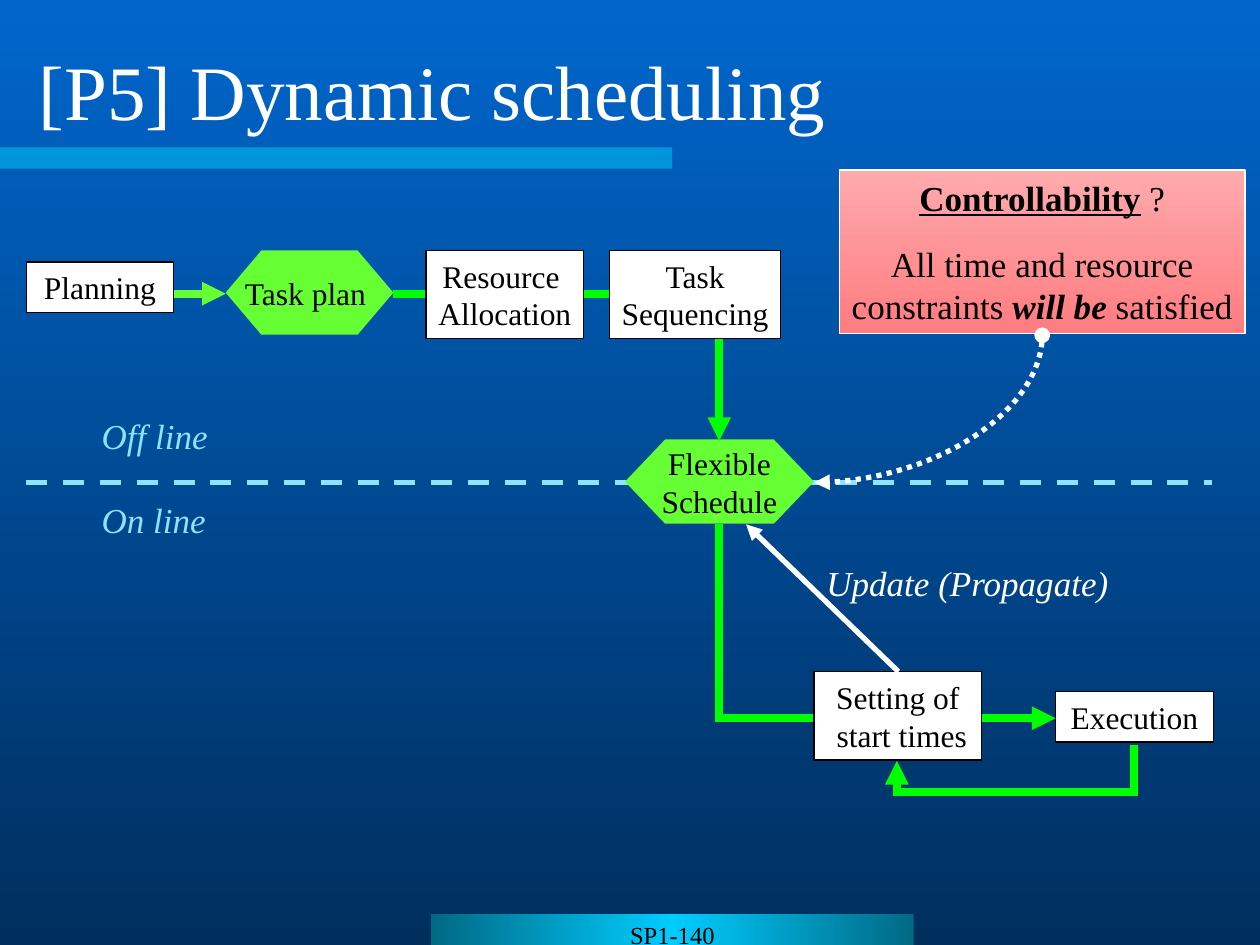
import copy

import pptx
import pptx.dml.color
import pptx.enum.dml
import pptx.enum.shapes
import pptx.enum.text
import pptx.oxml
import pptx.oxml.ns
import pptx.util
from pptx.util import Cm

RGB = pptx.dml.color.RGBColor
SHAPE = pptx.enum.shapes.MSO_SHAPE
LINK = pptx.enum.shapes.MSO_CONNECTOR
DASH = pptx.enum.dml.MSO_LINE
ALIGN = pptx.enum.text.PP_ALIGN
ANCHOR = pptx.enum.text.MSO_ANCHOR
qn = pptx.oxml.ns.qn

FONT = "Times New Roman"
WHITE = RGB(0xFF, 0xFF, 0xFF)
BLACK = RGB(0x00, 0x00, 0x00)
SKY_TOP = RGB(0x00, 0x66, 0xCC)
SKY_BOTTOM = RGB(0x00, 0x2F, 0x5E)
CYAN = RGB(0x00, 0xCC, 0xFF)
TEAL = RGB(0x00, 0x69, 0x84)
PALE_BLUE = RGB(0x8D, 0xE4, 0xFF)
GREEN = RGB(0x00, 0xFF, 0x00)
LIME = RGB(0x66, 0xFF, 0x33)
PINK_TOP = RGB(0xFE, 0xAA, 0xAD)
PINK_BOTTOM = RGB(0xFF, 0x7C, 0x80)


def set_gradient(fill, colours, angle):
    """Spread the colours evenly; the angle runs counter-clockwise."""
    fill.gradient()
    fill.gradient_angle = angle
    stop_list = fill.gradient_stops._gsLst
    while len(stop_list) < len(colours):
        stop_list.append(copy.deepcopy(stop_list[-1]))
    for index, (stop, colour) in enumerate(zip(fill.gradient_stops, colours)):
        stop.color.rgb = colour
        stop.position = index / (len(colours) - 1)


def write(shape, lines, size, colour=BLACK, align=ALIGN.CENTER,
          anchor=ANCHOR.TOP, wrap=False, italic=None):
    """Each line is a string or a list of (text, run styles)."""
    frame = shape.text_frame
    frame.word_wrap = wrap
    frame.vertical_anchor = anchor
    for index, line in enumerate(lines):
        para = frame.add_paragraph() if index else frame.paragraphs[0]
        para.alignment = align
        para.font.name = FONT
        para.font.size = pptx.util.Pt(size)
        para.font.color.rgb = colour
        para.font.italic = italic
        for text, styles in [(line, {})] if isinstance(line, str) else line:
            span = para.add_run()
            span.text = text
            for style, value in styles.items():
                setattr(span.font, style, value)


def add_block(page, place, kind=SHAPE.RECTANGLE, fill=None, outline=None):
    block = page.shapes.add_shape(kind, *map(Cm, place))
    block.shadow.inherit = False
    if fill is not None:
        block.fill.solid()
        block.fill.fore_color.rgb = fill
    if outline is None:
        block.line.fill.background()
    else:
        block.line.color.rgb = outline
        block.line.width = pptx.util.Pt(0.75)
    return block


def add_step(page, place, *lines, wrap=False):
    write(add_block(page, place, fill=WHITE, outline=BLACK), lines, 18, wrap=wrap)


def add_result(page, place, slant, *lines):
    hexagon = add_block(page, place, SHAPE.HEXAGON, LIME)
    hexagon.adjustments[0] = slant
    write(hexagon, lines, 18, anchor=ANCHOR.MIDDLE)


def add_label(page, place, text, size, colour, **options):
    box = page.shapes.add_textbox(*map(Cm, place))
    write(box, [text], size, colour, ALIGN.LEFT, **options)


def add_link(page, start, end, colour, width, preset="line", turn=0, flip=False,
             dash=None, head=None, tail="triangle", bend=None):
    """Join two points; a quarter turn swaps the sides of the connector's frame."""
    if turn:
        middle_x, middle_y = ((a + b) / 2 for a, b in zip(start, end))
        half_h, half_w = (abs(a - b) / 2 for a, b in zip(start, end))
        side = -half_w if flip else half_w
        start = (middle_x - side, middle_y - half_h)
        end = (middle_x + side, middle_y + half_h)
    link = page.shapes.add_connector(LINK.STRAIGHT, *map(Cm, start + end))
    link.line.color.rgb = colour
    link.line.width = pptx.util.Pt(width)
    if dash is not None:
        link.line.dash_style = dash

    # Geometry
    properties = link._element.spPr
    properties.find(qn("a:xfrm")).set("rot", str(turn * 60000))
    geometry = properties.find(qn("a:prstGeom"))
    geometry.set("prst", preset)
    if bend is not None:
        guide = pptx.oxml.parse_xml(
            '<a:gd xmlns:a="%s" name="adj1" fmla="val %d"/>'
            % (pptx.oxml.ns.nsuri("a"), bend * 100000))
        geometry.find(qn("a:avLst")).append(guide)

    # Corners, arrowheads and no shadow
    outline = properties.find(qn("a:ln"))
    corner = outline.makeelement(qn("a:miter"), {"lim": "800000"})
    outline.append(corner)
    for tag, kind in (("a:headEnd", head), ("a:tailEnd", tail)):
        if kind:
            outline.append(outline.makeelement(qn(tag), {"type": kind}))
    properties.append(properties.makeelement(qn("a:effectLst"), {}))


def add_backdrop(page):
    set_gradient(page.background.fill, [SKY_TOP, SKY_BOTTOM], 270)
    bar = add_block(page, (0, 2.97, 13.55, 0.43), fill=CYAN)
    colour = bar._element.spPr.find(qn("a:solidFill"))[0]
    colour.append(colour.makeelement(qn("a:alpha"), {"val": "50000"}))
    footer = add_block(page, (8.69, 18.42, 9.73, 0.64))
    set_gradient(footer.fill, [TEAL, CYAN, TEAL], 180)
    write(footer, ["SP1-140"], 14, wrap=True)


def add_question(page):
    card = add_block(page, (16.92, 3.43, 8.18, 3.3), outline=WHITE)
    set_gradient(card.fill, [PINK_TOP, PINK_BOTTOM], 270)
    write(card, [
        [("Controllability", {"bold": True, "underline": True}), (" ?", {})],
        "All time and resource",
        [("constraints ", {}), ("will be", {"bold": True, "italic": True}),
         (" satisfied", {})],
    ], 20)
    card.text_frame.paragraphs[1].space_before = pptx.util.Pt(14)


def main():
    deck = pptx.Presentation()
    deck.slide_width, deck.slide_height = Cm(25.4), Cm(19.05)
    page = deck.slides.add_slide(deck.slide_layouts[6])
    add_backdrop(page)

    # Loop from execution back to the start times
    add_link(page, (22.86, 15.01), (18.08, 15.34), GREEN, 4.5,
             "bentConnector3", turn=90, bend=2.9)

    # Planning
    add_result(page, (4.55, 5.05, 3.38, 1.7), 0.424, "Task plan ")
    add_link(page, (3.48, 5.92), (4.55, 5.92), LIME, 4.5)
    add_step(page, (0.53, 5.28, 2.97, 1.02), "Planning", wrap=True)

    # Border between off line and on line
    add_link(page, (0.53, 9.73), (24.43, 9.73), PALE_BLUE, 3,
             dash=DASH.DASH, tail=None)
    for top, text in ((8.23, "Off line"), (9.93, "On line")):
        add_label(page, (1.8, top, 2.64, 1.12), text, 20, PALE_BLUE, italic=True)

    # Title
    add_label(page, (0.53, 0.64, 24.56, 2.34), "[P5] Dynamic scheduling", 44,
              WHITE, anchor=ANCHOR.MIDDLE, wrap=True)

    # On line steps
    add_step(page, (21.28, 13.94, 3.18, 1.02), "Execution", wrap=True)
    add_link(page, (14.5, 10.57), (21.28, 14.48), GREEN, 4.5,
             "bentConnector2", turn=270, flip=True)
    add_step(page, (16.41, 13.54, 3.38, 1.78), "Setting of", " start times", wrap=True)

    # Off line steps
    add_result(page, (12.6, 8.86, 3.81, 1.7), 0.477, "Flexible", "Schedule")
    add_link(page, (7.92, 5.92), (14.5, 8.89), GREEN, 4.5, "bentConnector2")
    add_step(page, (8.59, 5.05, 3.18, 1.78), "Resource ", "Allocation")
    add_step(page, (12.29, 5.05, 3.45, 1.78), "Task", "Sequencing")

    # Controllability and update
    add_question(page)
    add_link(page, (21.01, 6.76), (16.41, 9.73), WHITE, 3, "curvedConnector2",
             turn=90, dash=DASH.ROUND_DOT, head="oval")
    add_link(page, (18.11, 13.54), (15.04, 10.57), WHITE, 3)
    add_label(page, (16.41, 11.2, 6.22, 1.12), "Update (Propagate)", 20, WHITE,
              italic=True)

    deck.save("out.pptx")


if __name__ == "__main__":
    main()
